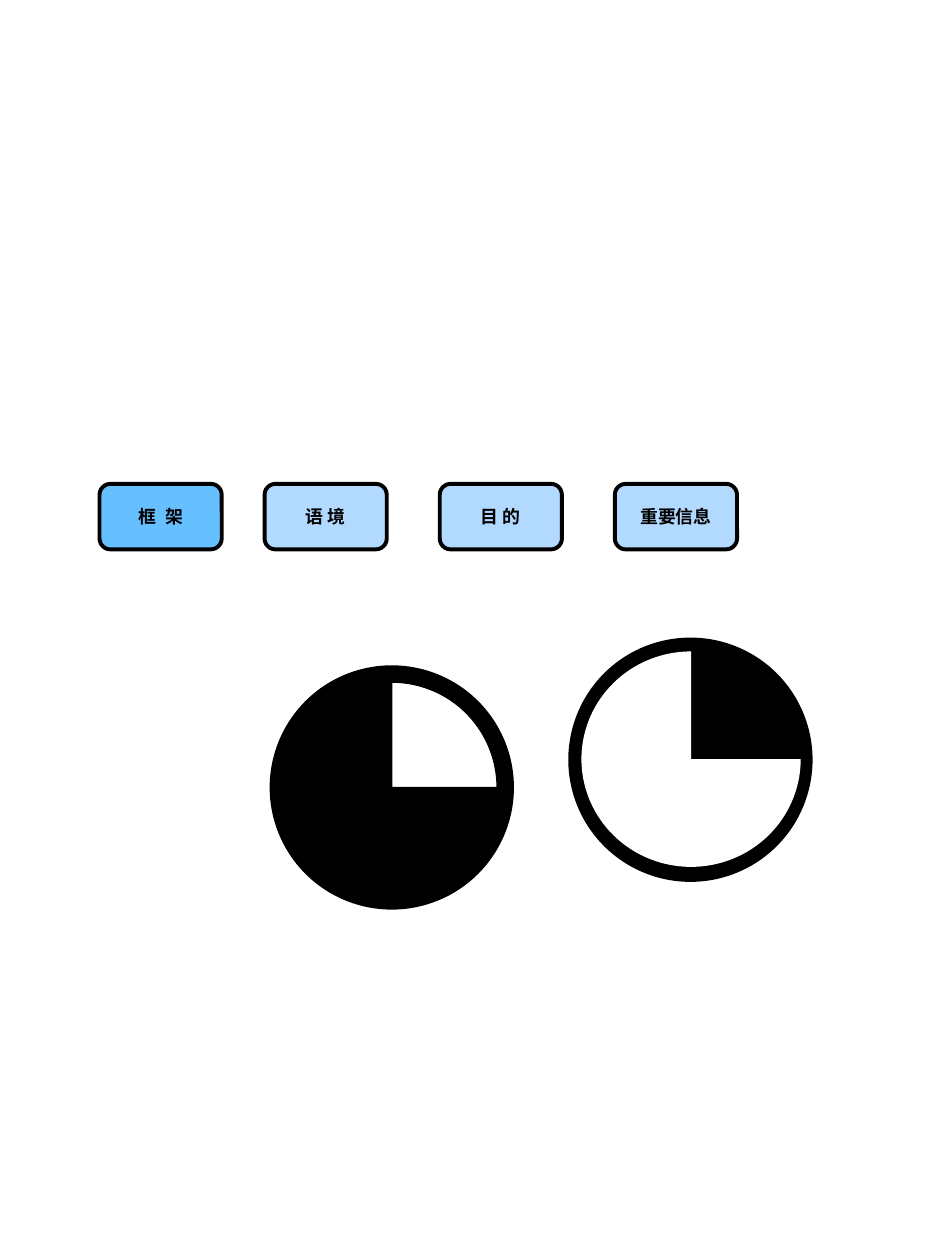
"""Build a slide with four labelled boxes and two pie dials."""
from dataclasses import dataclass

from pptx import Presentation
from pptx.dml.color import RGBColor
from pptx.enum.shapes import MSO_SHAPE as Preset
from pptx.enum.text import MSO_ANCHOR as Anchor, PP_ALIGN as Align
from pptx.shapes.autoshape import Shape
from pptx.slide import Slide
from pptx.util import Inches, Pt

BLACK, WHITE = "000000", "FFFFFF"
BLUE, PALE_BLUE = "66BFFF", "B2D9FF"
BOX_TOP, BOX_WIDTH, BOX_HEIGHT = 3.84, 0.97, 0.52
DIAL_SIZE, PIE_WIDTH, PIE_HEIGHT = 1.8, 1.74, 1.71


@dataclass(frozen=True)
class Label:
    text: str
    left: float
    fill: str = PALE_BLUE
    spacing: int = 0


@dataclass(frozen=True)
class Dial:
    left: float
    top: float
    disc: str
    pie: str


LABELS = [
    Label("框 架", 0.79, BLUE, 140),
    Label("语 境", 2.1),
    Label("目 的", 3.49),
    Label("重要信息", 4.88),
]
DIALS = [Dial(2.21, 5.35, WHITE, BLACK), Dial(4.58, 5.13, BLACK, WHITE)]


def color(value: str) -> RGBColor:
    return RGBColor.from_string(value)


def add_preset(page: Slide, preset: Preset, left: float, top: float,
               width: float, height: float, fill: str,
               line_width: float = 0) -> Shape:
    shape = page.shapes.add_shape(
        preset, Inches(left), Inches(top), Inches(width), Inches(height))
    shape.shadow.inherit = False
    shape.fill.solid()
    shape.fill.fore_color.rgb = color(fill)
    if line_width:
        shape.line.color.rgb = color(BLACK)
        shape.line.width = Pt(line_width)
    else:
        shape.line.fill.background()
    return shape


def draw_label(page: Slide, label: Label) -> None:
    box = add_preset(page, Preset.ROUNDED_RECTANGLE, label.left, BOX_TOP,
                     BOX_WIDTH, BOX_HEIGHT, label.fill, 2.25)
    frame = box.text_frame
    frame.text = label.text
    frame.vertical_anchor = Anchor.MIDDLE
    para = frame.paragraphs[0]
    para.alignment = Align.CENTER
    span = para.runs[0]
    span.font.name = "Arial"
    span.font.size = Pt(10.2)
    span.font.bold = True
    span.font.color.rgb = color(BLACK)
    if label.spacing:
        span.font._element.set("spc", str(label.spacing))


def draw_dial(page: Slide, dial: Dial) -> None:
    add_preset(page, Preset.OVAL, dial.left, dial.top,
               DIAL_SIZE, DIAL_SIZE, dial.disc, 10)
    add_preset(page, Preset.PIE, dial.left + 0.035, dial.top + 0.04,
               PIE_WIDTH, PIE_HEIGHT, dial.pie)


def main() -> None:
    deck = Presentation()
    deck.slide_width, deck.slide_height = Inches(7.5), Inches(10)
    page = deck.slides.add_slide(deck.slide_layouts[6])
    for label in LABELS:
        draw_label(page, label)
    for dial in DIALS:
        draw_dial(page, dial)
    deck.save("out.pptx")


if __name__ == "__main__":
    main()
